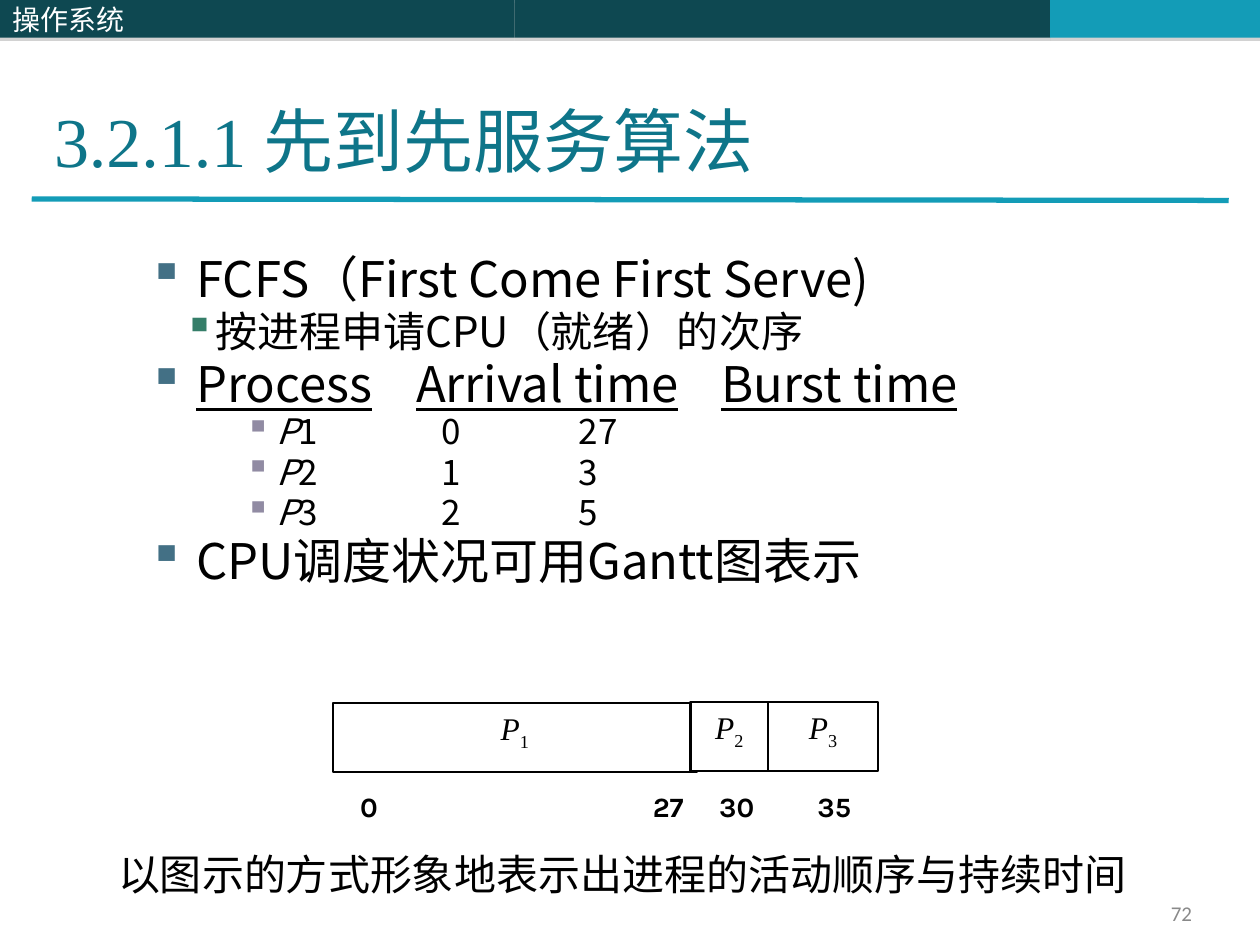
from lxml.etree import SubElement
from pptx import Presentation
from pptx.dml.color import RGBColor
from pptx.enum.shapes import MSO_CONNECTOR as Connector, MSO_SHAPE as Shape
from pptx.enum.text import MSO_ANCHOR as Anchor, PP_ALIGN as Align
from pptx.oxml.ns import qn
from pptx.util import Cm, Pt

COLORS = {
    "dark": "0E4851", "accent": "139CB7", "title": "0E7589",
    "black": "000000", "white": "FFFFFF", "gray": "898989", "shadow": "808080",
}
CJK, SERIF, SANS, NUMBER = "Noto Sans CJK SC", "Times New Roman", "Karla", "Calibri"
# Outline levels: size, left margin (cm), hanging indent (cm), space before, bullet colour
LEVELS = [
    (28, 0.97, 0.97, 7, "437085"),
    (24, 1.27, 0.55, 6, "357E69"),
    (20, 2.59, 0.64, 5, "918BA3"),
]


class SlideBuilder:
    def __init__(self, slide):
        self.slide = slide

    def add_run(self, paragraph, text, size, font, color="black",
                bold=False, italic=False, underline=False, subscript=False):
        run = paragraph.add_run()
        run.text = text
        run.font.size, run.font.name = Pt(size), font
        run.font.bold, run.font.italic, run.font.underline = bold, italic, underline
        run.font.color.rgb = RGBColor.from_string(COLORS[color])
        properties = run.font._element
        SubElement(properties, qn("a:ea"), typeface=CJK)
        if subscript:
            properties.set("baseline", "-25000")

    def add_tabs(self, paragraph, stops):
        tabs = SubElement(paragraph._p.get_or_add_pPr(), qn("a:tabLst"))
        for stop in stops:
            SubElement(tabs, qn("a:tab"), pos=str(Cm(stop)), algn="l")

    def text_box(self, left, top, width, height, anchor=Anchor.TOP):
        box = self.slide.shapes.add_textbox(Cm(left), Cm(top), Cm(width), Cm(height))
        box.text_frame.word_wrap = True
        box.text_frame.vertical_anchor = anchor
        return box.text_frame

    def rectangle(self, left, top, width, height, fill, outline=None):
        shape = self.slide.shapes.add_shape(
            Shape.RECTANGLE, Cm(left), Cm(top), Cm(width), Cm(height))
        shape.shadow.inherit = False
        shape.fill.solid()
        shape.fill.fore_color.rgb = RGBColor.from_string(COLORS[fill])
        if outline:
            shape.line.color.rgb = RGBColor.from_string(COLORS[outline])
            shape.line.width = Pt(1.25)
        else:
            shape.line.fill.background()
        return shape

    def header_bar(self, left, width, fill):
        shape = self.rectangle(left, 0, width, 0.76, fill)
        effects = shape._element.spPr.find(qn("a:effectLst"))
        shadow = SubElement(effects, qn("a:outerShdw"), blurRad="0",
                            dist=str(Pt(1.8)), dir="5400000", rotWithShape="0")
        color = SubElement(shadow, qn("a:srgbClr"), val=COLORS["shadow"])
        SubElement(color, qn("a:alpha"), val="35000")
        return shape

    def rule(self, start_x, start_y, end_x, end_y):
        line = self.slide.shapes.add_connector(
            Connector.STRAIGHT, Cm(start_x), Cm(start_y), Cm(end_x), Cm(end_y))
        line.line.color.rgb = RGBColor.from_string(COLORS["accent"])
        line.line.width = Pt(3)
        SubElement(line._element.spPr, qn("a:effectLst"))

    def outline_item(self, paragraph, level, runs, tabs=(), first=False):
        size, margin, hanging, space, bullet_color = LEVELS[level]
        properties = paragraph._p.get_or_add_pPr()
        properties.set("marL", str(Cm(margin)))
        properties.set("indent", str(-Cm(hanging)))
        color = SubElement(properties, qn("a:buClr"))
        SubElement(color, qn("a:srgbClr"), val=bullet_color)
        SubElement(properties, qn("a:buChar"), char="▪")
        if tabs:
            self.add_tabs(paragraph, tabs)
        paragraph.level = level
        paragraph.line_spacing = 0.75
        paragraph.space_before = Pt(0 if first else space)
        for text, style in runs:
            self.add_run(paragraph, text, size, CJK, **style)

    def gantt_bar(self, left, top, width, number):
        shape = self.rectangle(left, top, width, 1.4, "white", "black")
        shape.text_frame.vertical_anchor = Anchor.TOP
        paragraph = shape.text_frame.paragraphs[0]
        paragraph.alignment = Align.CENTER
        self.add_run(paragraph, "P", 18, SERIF, italic=True)
        self.add_run(paragraph, number, 18, SERIF, subscript=True)


def main():
    presentation = Presentation()
    presentation.slide_width, presentation.slide_height = Cm(25.4), Cm(19.05)
    builder = SlideBuilder(presentation.slides.add_slide(presentation.slide_layouts[6]))

    # Header band and title rule
    builder.header_bar(10.37, 10.8, "dark")
    builder.header_bar(21.17, 4.23, "accent")
    builder.rule(0.64, 4.01, 24.77, 4.04)
    course = builder.header_bar(0, 10.37, "dark").text_frame
    course.vertical_anchor = Anchor.MIDDLE
    course.paragraphs[0].alignment = Align.LEFT
    builder.add_run(course.paragraphs[0], "操作系统", 16, CJK, "white")

    # Title
    title = builder.text_box(0.84, 0.61, 21.64, 3.18, Anchor.BOTTOM)
    builder.add_run(title.paragraphs[0], "3.2.1.1 先到先服务算法", 40, SERIF, "title")

    # Outline with the process listing
    plain, italic, underlined = {}, {"italic": True}, {"underline": True}
    headings = [("Process", underlined), ("\t", plain), ("Arrival time", underlined),
                ("\t", plain), ("Burst time", underlined)]
    processes = [(1, 0, 27), (2, 1, 3), (3, 2, 5)]
    items = [
        (0, [("FCFS（First Come First Serve)", plain)], ()),
        (1, [("按进程申请CPU（就绪）的次序", plain)], ()),
        (0, headings, (5.4, 11.55)),
        *[(2, [("P", italic), (f"{number}\t{arrival}\t{burst}", plain)], (5.92, 8.68))
          for number, arrival, burst in processes],
        (0, [("CPU调度状况可用Gantt图表示", plain)], ()),
    ]
    body = builder.text_box(2.74, 5.16, 21.59, 12.12)
    for index, (level, runs, tabs) in enumerate(items):
        paragraph = body.add_paragraph() if index else body.paragraphs[0]
        builder.outline_item(paragraph, level, runs, tabs, first=index == 0)

    # Gantt chart with its time marks
    times = builder.text_box(7.01, 15.8, 10.52, 0.94).paragraphs[0]
    builder.add_tabs(times, (5.9, 7.24, 9.22))
    builder.add_run(times, "0\t27\t30\t35", 16, SANS, bold=True)
    builder.gantt_bar(6.71, 14.17, 7.34, "1")
    builder.gantt_bar(13.92, 14.15, 1.57, "2")
    builder.gantt_bar(15.49, 14.15, 2.21, "3")

    # Closing remark and page number
    remark = builder.text_box(2.13, 16.97, 22.17, 1.3, Anchor.MIDDLE)
    builder.add_run(remark.paragraphs[0],
                    "以图示的方式形象地表示出进程的活动顺序与持续时间", 24, SANS)
    page = builder.text_box(19.05, 18.03, 5.92, 0.69)
    page.margin_right = Cm(0.94)
    page.paragraphs[0].alignment = Align.RIGHT
    builder.add_run(page.paragraphs[0], "72", 12, NUMBER, "gray")

    presentation.save("out.pptx")


if __name__ == "__main__":
    main()
